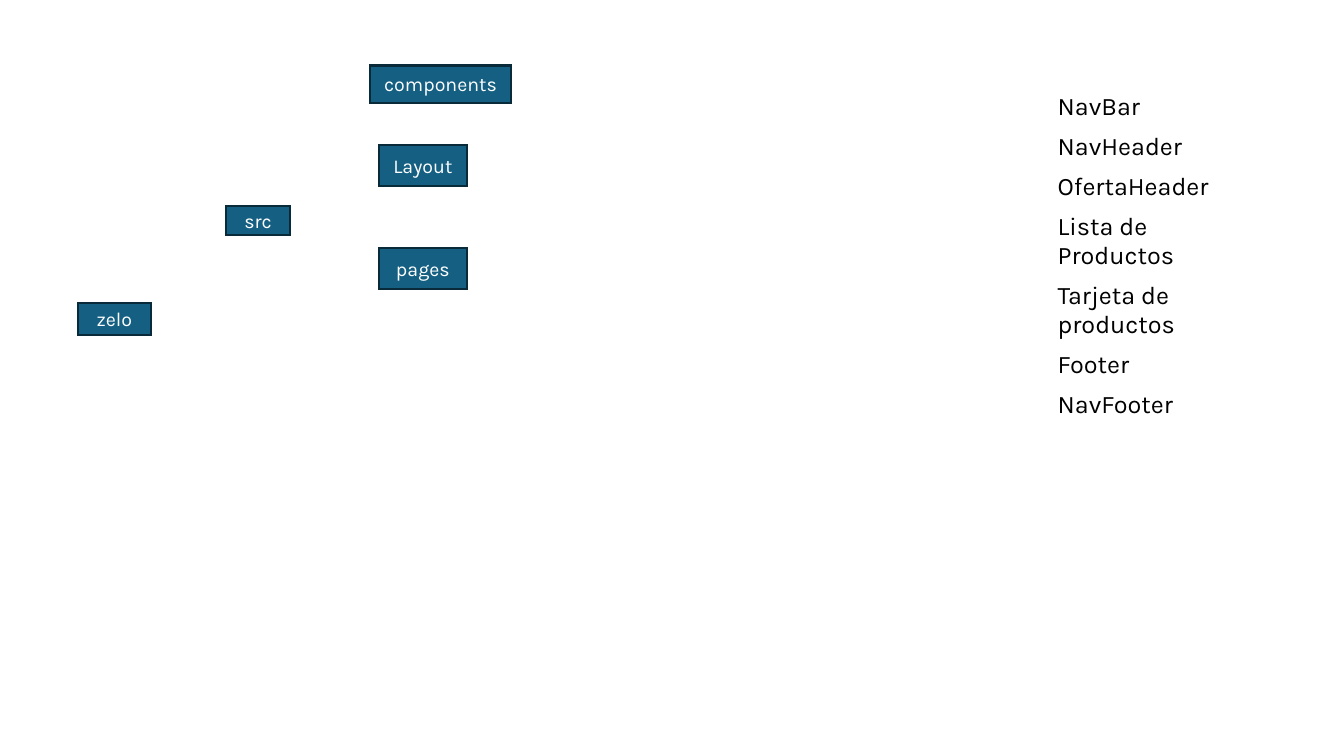
from dataclasses import dataclass

from lxml import etree
from pptx import Presentation
from pptx.dml.color import RGBColor
from pptx.enum import shapes, text
from pptx.oxml.ns import qn
from pptx.util import Inches, Pt

# Content: folder name, then left, top, width, height in inches
FOLDERS = [
    ("zelo", 0.77, 3.01, 0.73, 0.31),
    ("src", 2.24, 2.04, 0.64, 0.29),
    ("components", 3.67, 0.65, 1.4, 0.37),
    ("Layout", 3.76, 1.44, 0.87, 0.41),
    ("pages", 3.76, 2.46, 0.87, 0.41),
]
# Component name and the number of lines it takes
COMPONENTS = [
    ("NavBar", 1),
    ("NavHeader", 1),
    ("OfertaHeader", 1),
    ("Lista de Productos", 2),
    ("Tarjeta de productos", 2),
    ("Footer", 1),
    ("NavFooter", 1),
]
TABLE_LEFT, TABLE_TOP, TABLE_WIDTH = 10.39, 0.87, 2.17
LINE_HEIGHT, CELL_PADDING = 0.29, 0.1


@dataclass(frozen=True)
class Theme:
    font: str = "Karla"
    folder_fill: RGBColor = RGBColor(0x15, 0x60, 0x82)
    folder_line: RGBColor = RGBColor(0x09, 0x2A, 0x39)
    folder_text: RGBColor = RGBColor(0xFF, 0xFF, 0xFF)
    table_fill: RGBColor = RGBColor(0xFF, 0xFF, 0xFF)
    table_text: RGBColor = RGBColor(0, 0, 0)
    folder_size: int = 14
    table_size: int = 18
    line_width: float = 1.5


theme = Theme()


def paint(fill, color):
    fill.solid()
    fill.fore_color.rgb = color


def write(text_frame, words, size, color, alignment):
    text_frame.text = words
    paragraph = text_frame.paragraphs[0]
    paragraph.alignment = alignment
    font = paragraph.runs[0].font
    font.name, font.size, font.bold = theme.font, Pt(size), False
    font.color.rgb = color


def add_folder(slide, name, *box):
    shape = slide.shapes.add_shape(shapes.MSO_SHAPE.RECTANGLE, *map(Inches, box))
    shape.shadow.inherit = False
    paint(shape.fill, theme.folder_fill)
    shape.line.color.rgb = theme.folder_line
    shape.line.width = Pt(theme.line_width)
    # Square outline corners
    outline = shape.element.spPr.find(qn("a:ln"))
    etree.SubElement(outline, qn("a:miter"), lim="800000")
    shape.text_frame.vertical_anchor = text.MSO_ANCHOR.MIDDLE
    write(shape.text_frame, name, theme.folder_size, theme.folder_text, text.PP_ALIGN.CENTER)


def add_component_table(slide):
    heights = [lines * LINE_HEIGHT + CELL_PADDING for _, lines in COMPONENTS]
    frame = slide.shapes.add_table(
        len(COMPONENTS), 1, Inches(TABLE_LEFT), Inches(TABLE_TOP),
        Inches(TABLE_WIDTH), Inches(sum(heights)))
    table = frame.table
    table.first_row = table.horz_banding = False
    for index, ((name, _), height) in enumerate(zip(COMPONENTS, heights)):
        table.rows[index].height = Inches(height)
        cell = table.cell(index, 0)
        paint(cell.fill, theme.table_fill)
        cell.vertical_anchor = text.MSO_ANCHOR.MIDDLE
        write(cell.text_frame, name, theme.table_size, theme.table_text, text.PP_ALIGN.LEFT)


def main():
    presentation = Presentation()
    presentation.slide_width, presentation.slide_height = Inches(13.33), Inches(7.5)
    slide = presentation.slides.add_slide(presentation.slide_layouts[6])

    # Folder tree
    for folder in FOLDERS:
        add_folder(slide, *folder)

    # Component list
    add_component_table(slide)

    presentation.save("out.pptx")


if __name__ == "__main__":
    main()
